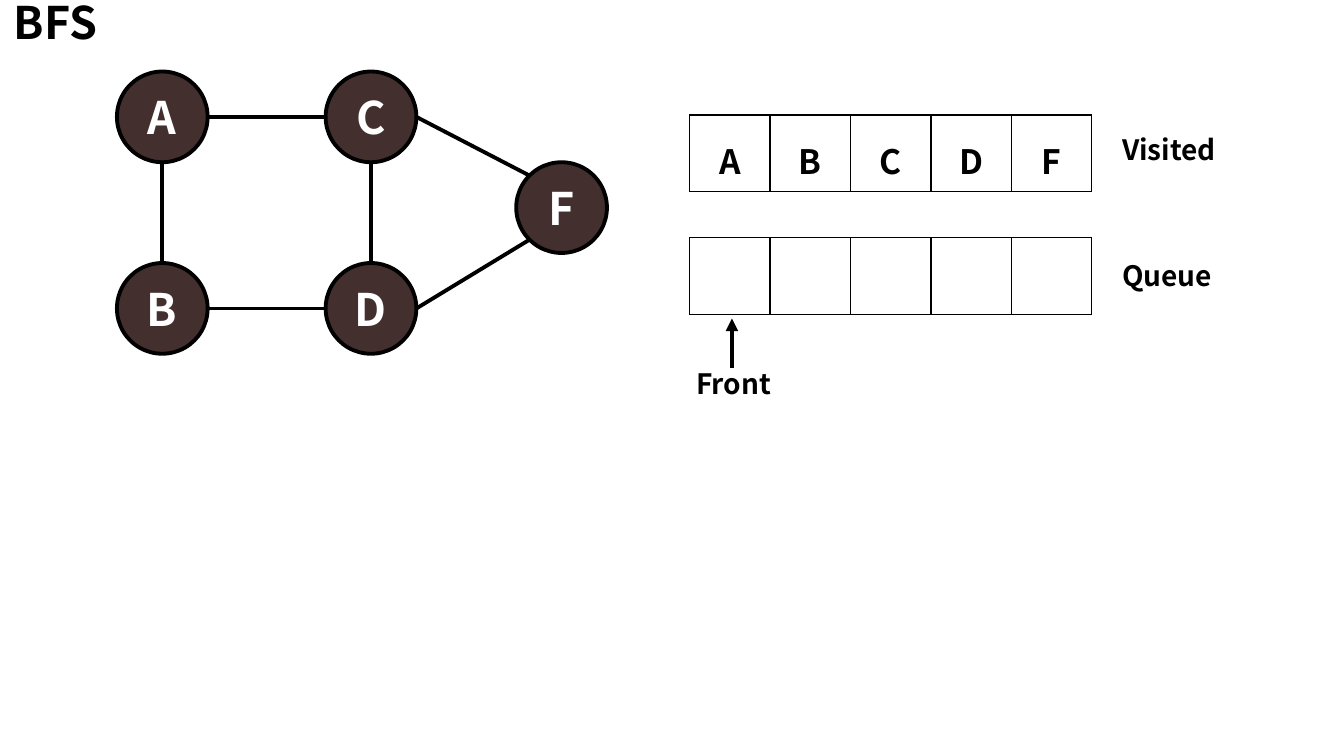
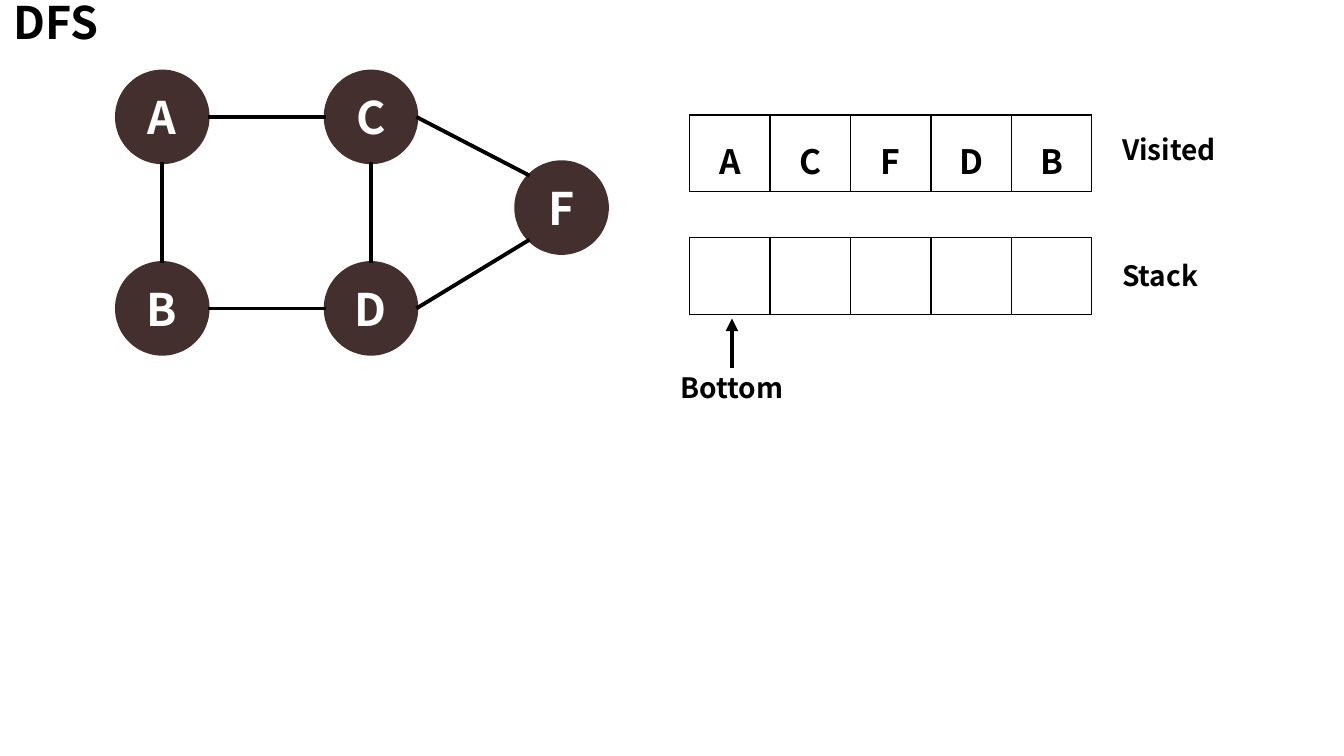
from lxml import etree
from pptx import Presentation, util as u
from pptx.dml.color import RGBColor
from pptx.enum import shapes, text
from pptx.oxml import ns

COLORS = {"ink": "000000", "node": "432F2E", "paper": "FFFFFF"}
FONT = "Noto Sans CJK KR"
FORMATS = {
    "title": {"size": u.Pt(32), "bold": True, "name": FONT},
    "node": {"size": u.Pt(32), "bold": True, "name": FONT},
    "cell": {"size": u.Pt(24), "bold": True, "name": FONT},
    "label": {"size": u.Pt(20), "bold": True, "name": FONT},
}

# Graph: top-left corner of each node, and the sides its edges touch
NODE_SIZE = 0.9
NODES = {"A": (1.16, 0.71), "B": (1.16, 2.61), "D": (3.23, 2.61),
         "C": (3.23, 0.71), "F": (5.12, 1.61)}
DIAGONAL = 0.5 ** 0.5
SIDES = {"top": (0, -1), "bottom": (0, 1), "left": (-1, 0), "right": (1, 0),
         "top left": (-DIAGONAL, -DIAGONAL), "bottom left": (-DIAGONAL, DIAGONAL)}
EDGES = [("A", "right", "C", "left"), ("B", "right", "D", "left"),
         ("A", "bottom", "B", "top"), ("C", "bottom", "D", "top"),
         ("C", "right", "F", "top left"), ("D", "right", "F", "bottom left")]

# Rows of cells beside the graph
SLOTS = 5
ROW_LEFT, ROW_WIDTH, ROW_HEIGHT = 6.84, 3.99, 0.76
VISITED_TOP, PENDING_TOP = 1.14, 2.36


def color(key):
    return RGBColor.from_string(COLORS[key])


def side_point(node, side):
    radius = NODE_SIZE / 2
    return tuple(corner + radius + radius * step
                 for corner, step in zip(NODES[node], SIDES[side]))


class Deck:
    def __init__(self):
        self.deck = Presentation()
        self.deck.slide_width = u.Inches(13.33)
        self.deck.slide_height = u.Inches(7.5)
        self.page = None

    def new_page(self, title):
        self.page = self.deck.slides.add_slide(self.deck.slide_layouts[6])
        self.label(title, 0.04, -0.1, 2.22, 0.64, style="title")

    def add_text(self, frame, words, style, align, ink="ink"):
        para = frame.paragraphs[0]
        para.alignment = align
        span = para.add_run()
        span.text = words
        for name, value in FORMATS[style].items():
            setattr(span.font, name, value)
        span.font.color.rgb = color(ink)

    def label(self, words, left, top, width=1.15, height=0.44, style="label",
              align=text.PP_ALIGN.LEFT):
        box = self.page.shapes.add_textbox(*map(u.Inches, (left, top, width, height)))
        box.text_frame.word_wrap = True
        box.text_frame.auto_size = text.MSO_AUTO_SIZE.SHAPE_TO_FIT_TEXT
        self.add_text(box.text_frame, words, style, align)

    def node(self, name, outline):
        circle = self.page.shapes.add_shape(
            shapes.MSO_SHAPE.OVAL, *map(u.Inches, (*NODES[name], NODE_SIZE, NODE_SIZE)))
        circle.shadow.inherit = False
        circle.fill.solid()
        circle.fill.fore_color.rgb = color("node")
        circle.line.color.rgb = color(outline)
        circle.line.width = u.Pt(2.75)
        circle.text_frame.vertical_anchor = text.MSO_ANCHOR.MIDDLE
        self.add_text(circle.text_frame, name, "node", text.PP_ALIGN.CENTER, "paper")

    def line(self, start, end, width=2.75, arrow=False):
        connector = self.page.shapes.add_connector(
            shapes.MSO_CONNECTOR.STRAIGHT, *map(u.Inches, (*start, *end)))
        connector.line.color.rgb = color("ink")
        connector.line.width = u.Pt(width)
        props = connector._element.spPr
        if arrow:
            etree.SubElement(props.find(ns.qn("a:ln")), ns.qn("a:tailEnd"),
                             type="triangle")
        etree.SubElement(props, ns.qn("a:effectLst"))

    def border(self, cell):
        props = cell._tc.get_or_add_tcPr()
        for side in ("lnL", "lnR", "lnT", "lnB"):
            edge = etree.SubElement(props, ns.qn("a:" + side), w=str(u.Pt(1)))
            fill = etree.SubElement(edge, ns.qn("a:solidFill"))
            etree.SubElement(fill, ns.qn("a:srgbClr"), val=COLORS["ink"])

    def cell_row(self, top, letters=""):
        table = self.page.shapes.add_table(
            1, SLOTS, *map(u.Inches, (ROW_LEFT, top, ROW_WIDTH, ROW_HEIGHT))).table
        table.first_row = table.horz_banding = False
        for cell in table.iter_cells():
            self.border(cell)
            cell.fill.solid()
            cell.fill.fore_color.rgb = color("paper")
        for cell, letter in zip(table.iter_cells(), letters):
            cell.margin_top = u.Inches(0.2)
            self.add_text(cell.text_frame, letter, "cell", text.PP_ALIGN.CENTER)

    def traversal(self, title, outline, order, store, pointer, pointer_box):
        self.new_page(title)
        # Graph
        for name in NODES:
            self.node(name, outline)
        for start, start_side, end, end_side in EDGES:
            self.line(side_point(start, start_side), side_point(end, end_side))
        # Visited order and pending nodes
        self.cell_row(VISITED_TOP, order)
        self.cell_row(PENDING_TOP)
        self.label("Visited", 11.03, 1.27)
        self.label(store, 11.03, 2.52)
        # Pointer to the first slot
        self.line((7.26, 3.65), (7.26, 3.16), width=3, arrow=True)
        self.label(pointer, *pointer_box, align=text.PP_ALIGN.CENTER)


def main():
    slides = Deck()
    slides.traversal("BFS", "ink", "ABCDF", "Queue", "Front", (6.7, 3.59))
    slides.traversal("DFS", "node", "ACFDB", "Stack", "Bottom", (6.59, 3.63, 1.34))
    slides.deck.save("out.pptx")


if __name__ == "__main__":
    main()
